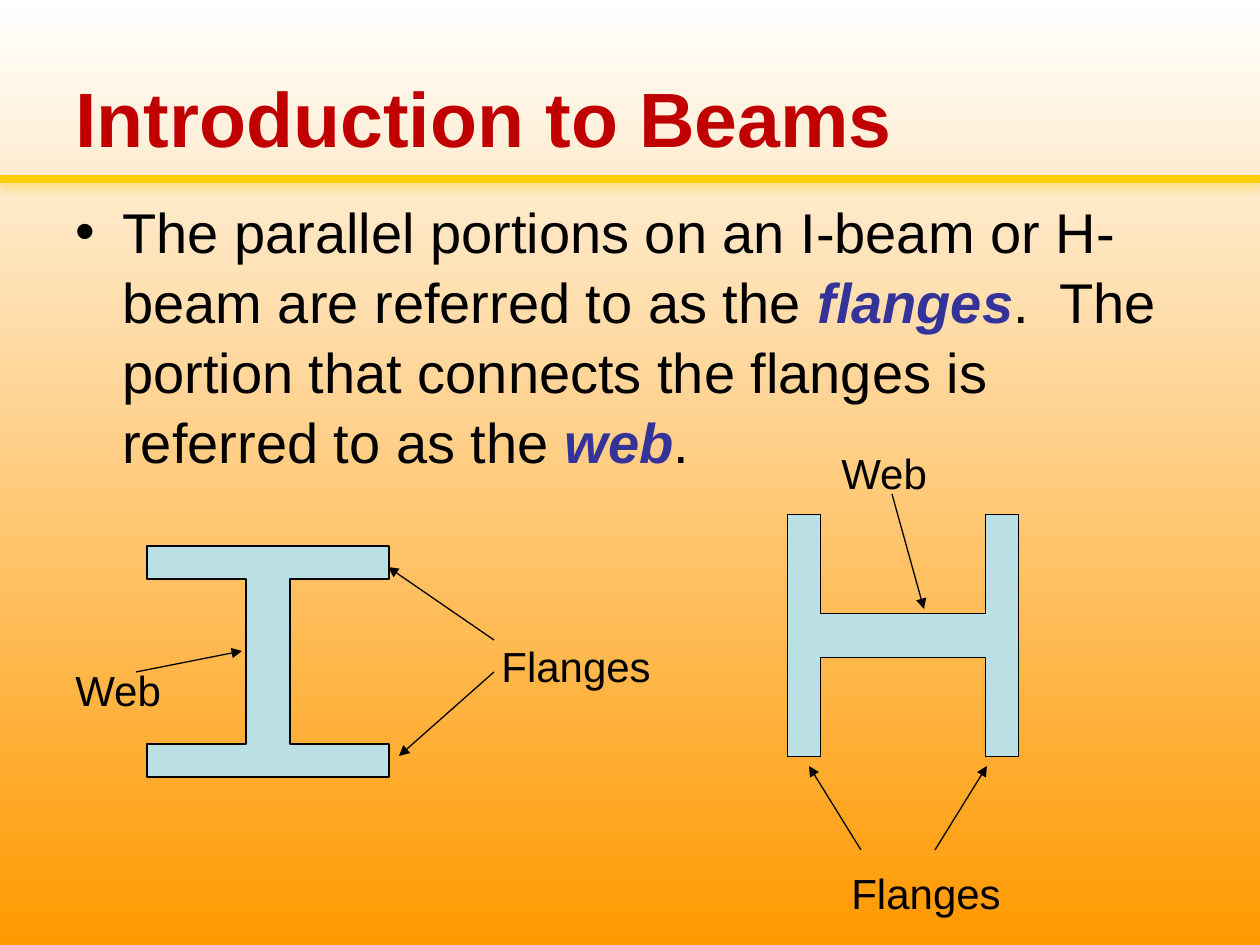
from lxml.etree import SubElement
from pptx import Presentation
from pptx.dml.color import RGBColor
from pptx.enum.shapes import MSO_CONNECTOR
from pptx.enum.text import MSO_ANCHOR, MSO_AUTO_SIZE, PP_ALIGN
from pptx.oxml.ns import qn
from pptx.util import Emu, Pt

SCALE = 914400 / 126  # EMU in one px
WIDTH, HEIGHT = 1260, 945
BLACK, RED, BLUE = "000000", "C00000", "333399"
GOLD, ORANGE, STEEL = "FFCC00", "FF9900", "BBE0E3"

BEAM_WIDTH, BEAM_HEIGHT, FLANGE = 242, 231, 33
WEB_LEFT, WEB_RIGHT = 99, 143
LABEL_HEIGHT = 63


def px(value):
    return Emu(round(value * SCALE))


def color(code):
    return RGBColor.from_string(code)


def add_run(paragraph, text, size, code=BLACK, bold=False, italic=False):
    run = paragraph.add_run()
    run.text = text
    font = run.font
    font.name, font.size = "Arial", Pt(size)
    font.bold, font.italic = bold, italic
    font.color.rgb = color(code)


def set_background(slide):
    fill = slide.background.fill
    fill.gradient()
    fill.gradient_angle = 270
    for stop, code, position in zip(fill.gradient_stops, ("FFFFFF", ORANGE), (0, 1)):
        stop.color.rgb = color(code)
        stop.position = position


def add_line(slide, start, end, code=BLACK, width=0.75):
    """Add a straight line and return it with its empty effect list."""
    line = slide.shapes.add_connector(
        MSO_CONNECTOR.STRAIGHT, *(px(value) for value in (*start, *end)))
    line.line.color.rgb = color(code)
    line.line.width = Pt(width)
    effects = SubElement(line._element.spPr, qn("a:effectLst"))
    return line, effects


def add_arrow(slide, start, end):
    line, _ = add_line(slide, start, end)
    SubElement(line.line._get_or_add_ln(), qn("a:tailEnd"), type="triangle")


def add_rule(slide, y):
    _, effects = add_line(slide, (0, y), (WIDTH, y), GOLD, 5)
    shadow = SubElement(effects, qn("a:outerShdw"), blurRad=str(Pt(5)),
                        dist=str(Pt(3)), dir="5400000", rotWithShape="0")
    shade = SubElement(shadow, qn("a:srgbClr"), val=GOLD)
    SubElement(shade, qn("a:alpha"), val="40000")


def add_title(slide, left, top, width, height):
    title = slide.shapes.title
    title.left, title.top = px(left), px(top)
    title.width, title.height = px(width), px(height)
    frame = title.text_frame
    frame.vertical_anchor = MSO_ANCHOR.MIDDLE
    frame.auto_size = MSO_AUTO_SIZE.NONE
    paragraph = frame.paragraphs[0]
    paragraph.alignment = PP_ALIGN.LEFT
    add_run(paragraph, "Introduction to Beams", 44, RED, bold=True)


def add_body(slide, left, top, width, height):
    box = slide.shapes.add_textbox(px(left), px(top), px(width), px(height))
    box.text_frame.word_wrap = True
    paragraph = box.text_frame.paragraphs[0]
    paragraph.space_before = Pt(2)
    paragraph.line_spacing = 1.04
    properties = paragraph._p.get_or_add_pPr()
    indent = px(47)
    properties.set("marL", str(indent))
    properties.set("indent", str(-indent))
    SubElement(properties, qn("a:buFont"), typeface="Arial")
    SubElement(properties, qn("a:buChar"), char="•")
    for text, is_term in (
        ("The parallel portions on an I-beam or H-beam are referred to as the ", False),
        ("flanges", True),
        (".  The portion that connects the flanges is referred to as the ", False),
        ("web", True),
        (".", False),
    ):
        add_run(paragraph, text, 32, BLUE if is_term else BLACK, is_term, is_term)


def add_beam(slide, left, top, rotation):
    lower = BEAM_HEIGHT - FLANGE
    builder = slide.shapes.build_freeform(0, 0, scale=SCALE)
    builder.add_line_segments([
        (BEAM_WIDTH, 0), (BEAM_WIDTH, FLANGE), (WEB_RIGHT, FLANGE),
        (WEB_RIGHT, lower), (BEAM_WIDTH, lower), (BEAM_WIDTH, BEAM_HEIGHT),
        (0, BEAM_HEIGHT), (0, lower), (WEB_LEFT, lower),
        (WEB_LEFT, FLANGE), (0, FLANGE),
    ], close=True)
    beam = builder.convert_to_shape(px(left), px(top))
    beam.rotation = rotation
    beam.shadow.inherit = False
    beam.fill.solid()
    beam.fill.fore_color.rgb = color(STEEL)
    beam.line.color.rgb = color(BLACK)
    beam.line.width = Pt(0.75)


def add_label(slide, text, left, top, width):
    box = slide.shapes.add_textbox(px(left), px(top), px(width), px(LABEL_HEIGHT))
    box.text_frame.word_wrap = False
    box.text_frame.auto_size = MSO_AUTO_SIZE.SHAPE_TO_FIT_TEXT
    add_run(box.text_frame.paragraphs[0], text, 24)


def add_diagram(slide, left, top, rotation, flanges, web, arrows):
    """Add a beam with labels and arrows placed relative to its top left corner."""
    add_beam(slide, left, top, rotation)
    for text, (x, y), width in (("Flanges", flanges, 176), ("Web", web, 112)):
        add_label(slide, text, left + x, top + y, width)
    for start, end in arrows:
        add_arrow(slide, *((left + x, top + y) for x, y in (start, end)))


def main():
    presentation = Presentation()
    presentation.slide_width, presentation.slide_height = px(WIDTH), px(HEIGHT)
    slide = presentation.slides.add_slide(presentation.slide_layouts[5])
    set_background(slide)
    add_rule(slide, 179)
    add_title(slide, 63, 38, 1134, 157)
    add_body(slide, 63, 189, 1134, 136)
    add_diagram(slide, 147, 546, 0, flanges=(342, 88), web=(-84, 112), arrows=[
        ((347, 94), (241, 21)),
        ((347, 126), (252, 210)),
        ((-11, 126), (95, 105)),
    ])
    add_diagram(slide, 782, 520, 270, flanges=(57, 341), web=(47, -79), arrows=[
        ((79, 330), (27, 246)),
        ((153, 330), (205, 246)),
        ((110, -26), (142, 89)),
    ])
    presentation.save("out.pptx")


if __name__ == "__main__":
    main()
